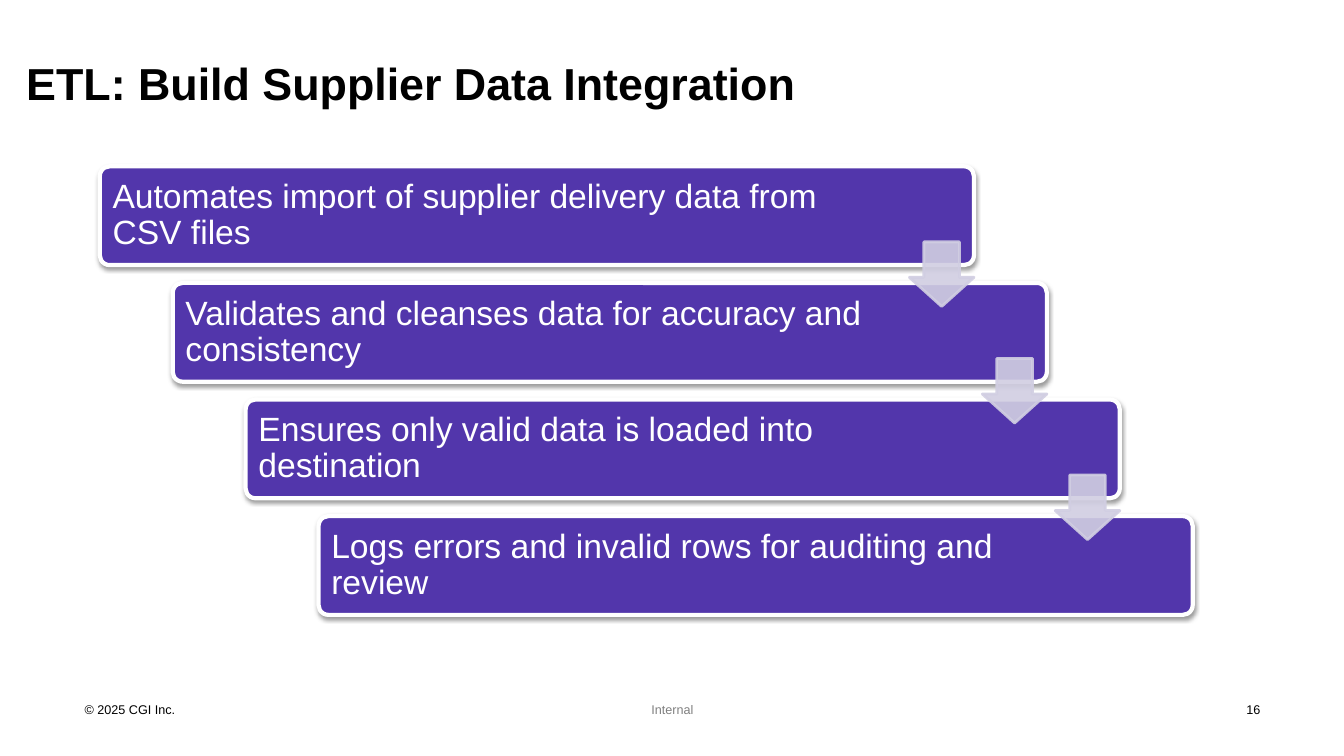
"""Build the supplier data integration slide: four cascading steps joined by arrows."""
from lxml import etree
from pptx import Presentation
from pptx import util as u
from pptx.dml.color import RGBColor
from pptx.enum import shapes, text
from pptx.oxml.ns import qn

TITLE = "ETL: Build Supplier Data Integration"
STEPS = [
    "Automates import of supplier delivery data from CSV files",
    "Validates and cleanses data for accuracy and consistency",
    "Ensures only valid data is loaded into destination",
    "Logs errors and invalid rows for auditing and review",
]
FOOTERS = [
    ("© 2025 CGI Inc.", 0.84, 3, "LEFT", 100),
    ("Internal", 6.46, 0.45, "LEFT", 50),
    ("16", 12.21, 0.29, "RIGHT", 100),
]
COLORS = {"ink": "000000", "white": "FFFFFF", "bar": "5236AB", "arrow": "D1CEE2"}

FIRST_STEP = (0.99, 1.65)
LAST_STEP = (3.16, 5.12)
BAR = (8.67, 0.98)
ARROW = 0.64
ARROW_OFFSET = (8.03, 0.75)
FOOTER_TOP, FOOTER_HEIGHT = 6.96, 0.15


def color(name):
    return RGBColor.from_string(COLORS[name])


def fade(element, percent):
    for shade in element.iter(qn("a:srgbClr")):
        etree.SubElement(shade, qn("a:alpha"), val=str(percent * 1000))


def write(box, words, size, ink="ink", bold=False, align="LEFT", anchor="TOP",
          insets=(0, 0, 0, 0), spacing=1.0, after=0):
    frame = box.text_frame
    frame.word_wrap = True
    frame.auto_size = text.MSO_AUTO_SIZE.NONE
    frame.vertical_anchor = text.MSO_ANCHOR[anchor]
    (frame.margin_left, frame.margin_top,
     frame.margin_right, frame.margin_bottom) = map(u.Inches, insets)
    para = frame.paragraphs[0]
    para.alignment = text.PP_ALIGN[align]
    para.line_spacing = spacing
    para.space_after = u.Pt(after)
    span = para.add_run()
    span.text = words
    span.font.name, span.font.size, span.font.bold = "Arial", u.Pt(size), bold
    span.font.color.rgb = color(ink)


def add_block(page, kind, place, adjustments, fill, line, width):
    block = page.shapes.add_shape(kind, *map(u.Inches, place))
    for index, value in enumerate(adjustments):
        block.adjustments[index] = value
    block.fill.solid()
    block.fill.fore_color.rgb = color(fill)
    block.line.color.rgb = color(line)
    block.line.width = u.Pt(width)
    block.shadow.inherit = False
    return block


def add_bar_shadow(bar):
    effects = bar._element.spPr.find(qn("a:effectLst"))
    shadow = etree.SubElement(effects, qn("a:outerShdw"), blurRad=str(u.Pt(3.1)),
                              dist=str(u.Pt(1.6)), dir="5400000", rotWithShape="0")
    shade = etree.SubElement(shadow, qn("a:srgbClr"), val=COLORS["ink"])
    etree.SubElement(shade, qn("a:alpha"), val="38000")


def main():
    deck = Presentation()
    deck.slide_width, deck.slide_height = u.Inches(13.33), u.Inches(7.5)
    page = deck.slides.add_slide(deck.slide_layouts[5])

    title = page.shapes.title
    title.left, title.top, title.width, title.height = map(
        u.Inches, (0.26, 0.61, 11.77, 0.46))
    write(title, TITLE, 32, bold=True, spacing=0.9)

    for words, left, width, align, opacity in FOOTERS:
        box = page.shapes.add_textbox(
            *map(u.Inches, (left, FOOTER_TOP, width, FOOTER_HEIGHT)))
        write(box, words, 9, align=align)
        if opacity < 100:
            fade(box._element, opacity)

    gaps = len(STEPS) - 1
    corners = [tuple(first + (last - first) * row / gaps
                     for first, last in zip(FIRST_STEP, LAST_STEP))
               for row in range(len(STEPS))]

    for words, corner in zip(STEPS, corners):
        bar = add_block(page, shapes.MSO_SHAPE.ROUNDED_RECTANGLE, corner + BAR,
                        [0.1], "bar", "white", 3)
        add_bar_shadow(bar)
        write(bar, words, 24, ink="white", anchor="MIDDLE",
              insets=(0.1, 0.1, 1.45, 0.1), spacing=0.9)

    for left, top in corners[:-1]:
        place = (left + ARROW_OFFSET[0], top + ARROW_OFFSET[1], ARROW, ARROW)
        arrow = add_block(page, shapes.MSO_SHAPE.DOWN_ARROW, place,
                          [0.55, 0.45], "arrow", "arrow", 2)
        fade(arrow._element.spPr, 90)

    deck.save("out.pptx")


if __name__ == "__main__":
    main()
